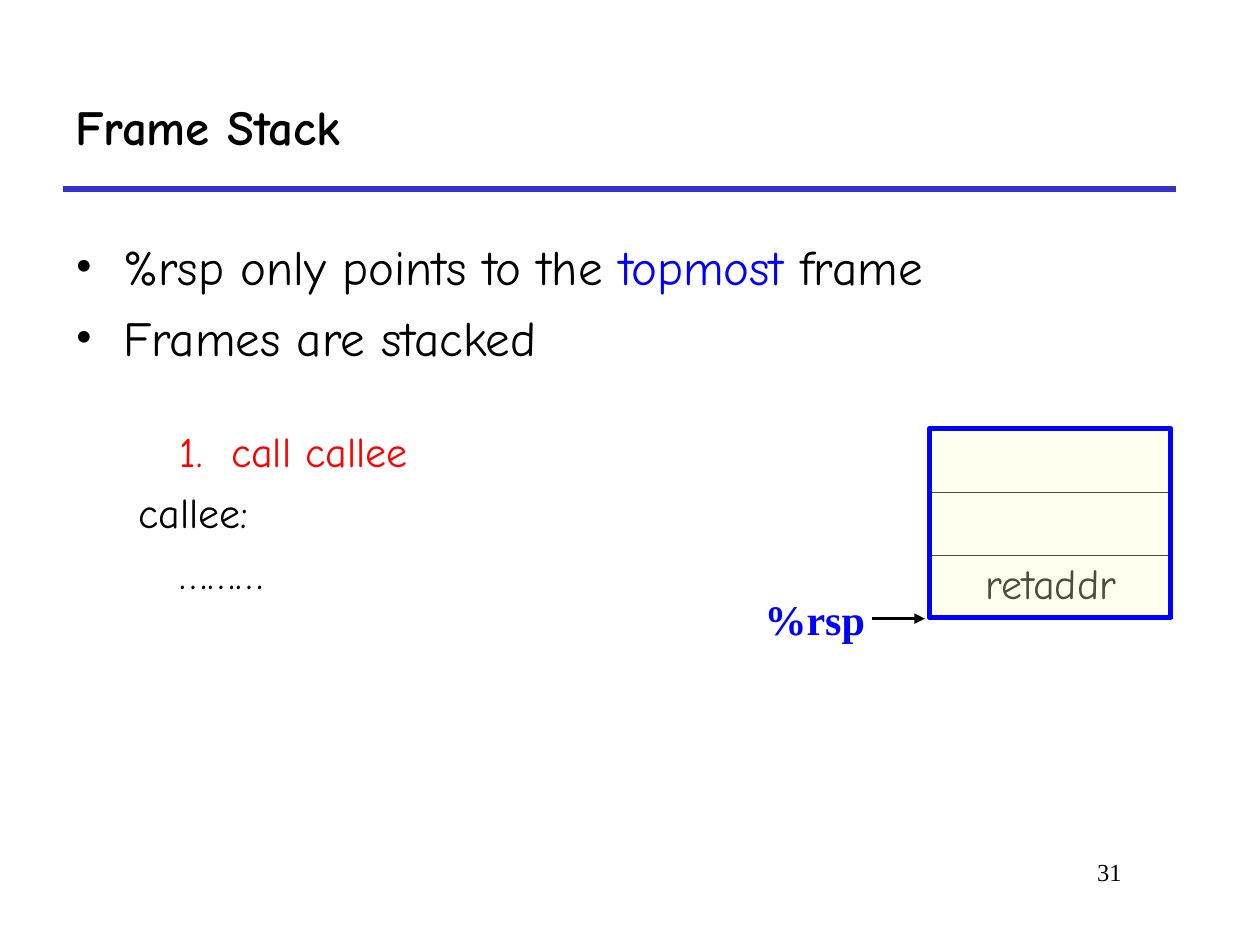
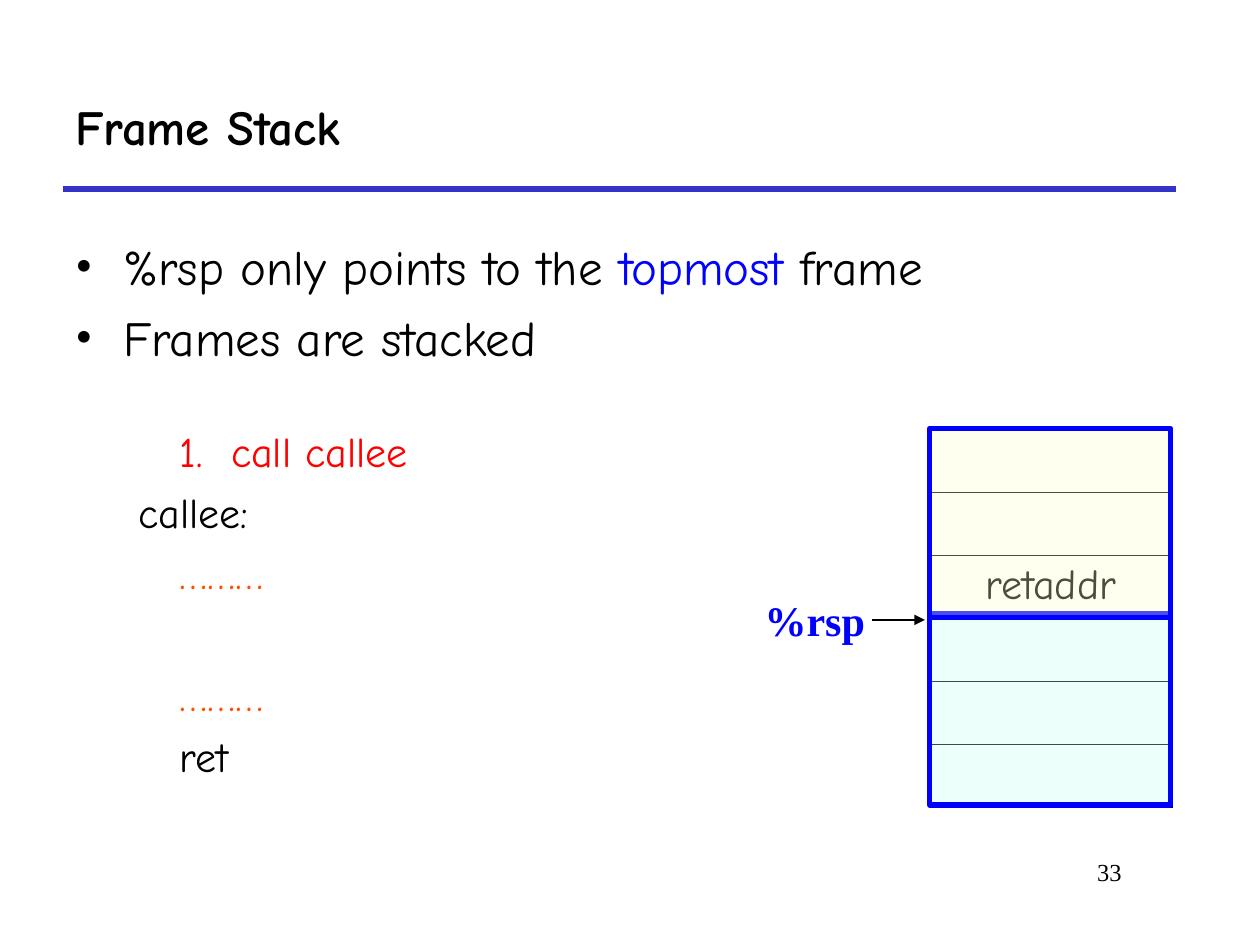
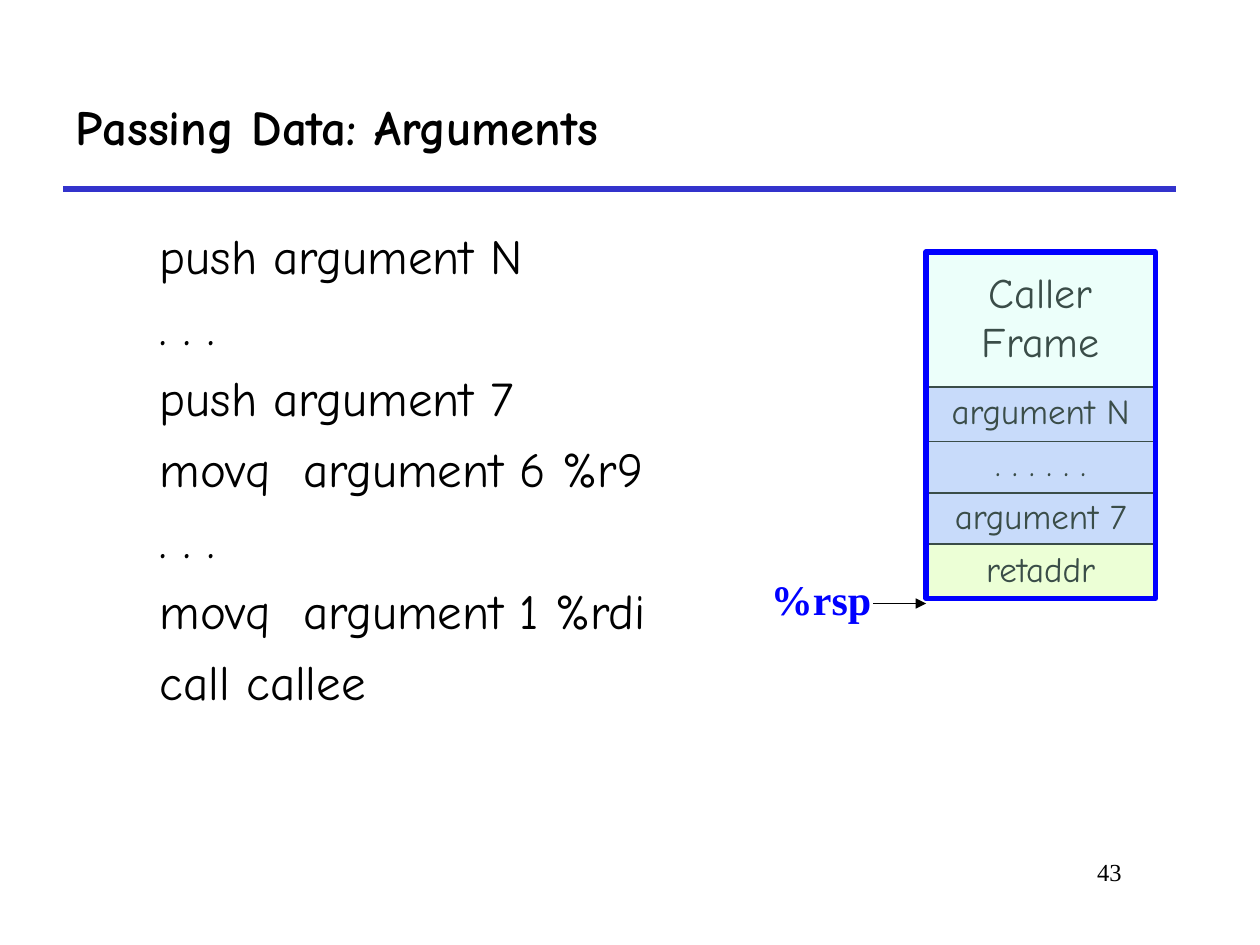
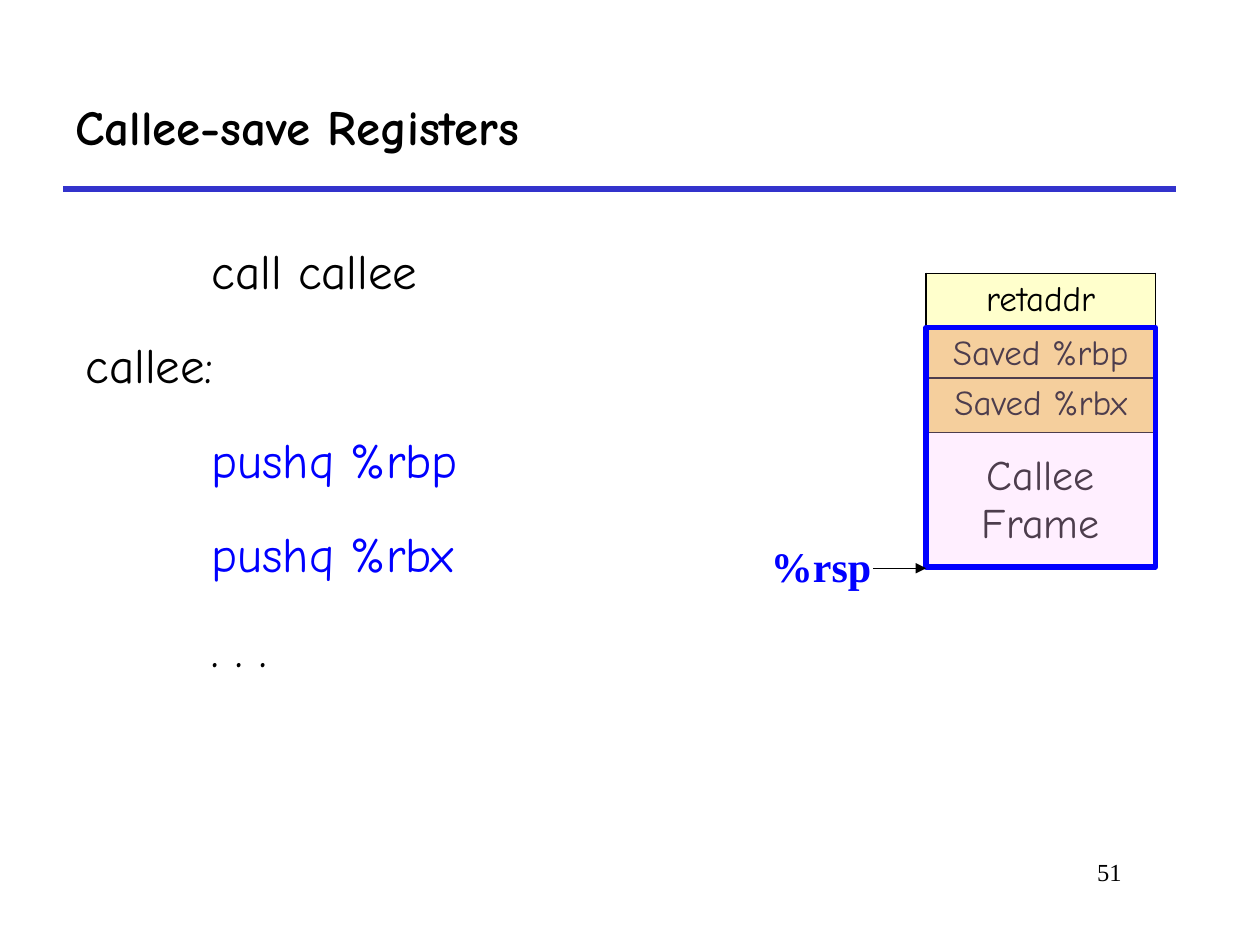
"""Build four lecture slides on stack frames, arguments and saved registers."""
from lxml import etree
from pptx import Presentation
from pptx import util as u
from pptx.dml.color import RGBColor
from pptx.enum import shapes, text
from pptx.oxml import ns

BLACK = RGBColor(0x00, 0x00, 0x00)
WHITE = RGBColor(0xFF, 0xFF, 0xFF)
BLUE = RGBColor(0x00, 0x00, 0xFF)
RED = RGBColor(0xFF, 0x00, 0x00)
ORANGE = RGBColor(0xFF, 0x50, 0x00)
RULE = RGBColor(0x33, 0x33, 0xCC)
YELLOW = RGBColor(0xFF, 0xFF, 0xCC)
AQUA = RGBColor(0xC2, 0xFF, 0xF0)
LILAC = RGBColor(0xCC, 0xCC, 0xFF)
GOLD = RGBColor(0xF2, 0xD1, 0x74)
PINK = RGBColor(0xFF, 0xCC, 0xFF)

BODY_FONT = "Comic Neue"
LABEL_FONT = "Times New Roman"
STACK_LEFT, STACK_TOP, STACK_WIDTH, SLOT_HEIGHT = 7.38, 3.41, 1.92, 0.5
FRAME_LEFT, FRAME_WIDTH, ENTRY_HEIGHT = 7.35, 1.82, 0.43


def add_xml(parent, tag, **attributes):
    """Append a DrawingML element to a parent and return it."""
    return etree.SubElement(parent, ns.qn(tag), attributes)


def format_runs(paragraph, size, color=BLACK, font=BODY_FONT, bold=False):
    """Give every run of a paragraph the same character format."""
    for run in paragraph.runs:
        run.font.size = u.Pt(size)
        run.font.name = font
        run.font.bold = bold
        run.font.color.rgb = color


def add_text(parent, left, top, width, height, lines, size=28, color=BLACK,
             font=BODY_FONT, bold=False, align=text.PP_ALIGN.LEFT,
             anchor=text.MSO_ANCHOR.TOP, wrap=True, gap=7, spacing=None):
    """Add a text box; each line is (text, colour, left indent, space before)."""
    box = parent.shapes.add_textbox(u.Inches(left), u.Inches(top),
                                    u.Inches(width), u.Inches(height))
    frame = box.text_frame
    frame.word_wrap = wrap
    frame.vertical_anchor = anchor
    for index, line in enumerate(lines):
        words, line_color, indent, before = (line + (None,) * 3)[:4]
        paragraph = frame.paragraphs[0] if index == 0 else frame.add_paragraph()
        paragraph.text = words
        paragraph.alignment = align
        if indent:
            paragraph._p.get_or_add_pPr().set("marL", str(u.Inches(indent)))
        if index:
            paragraph.space_before = u.Pt(before or gap)
        if spacing:
            paragraph.line_spacing = spacing
        format_runs(paragraph, size, line_color or color, font, bold)
    return box


def add_line(parent, start, end, color, weight, arrow=False):
    """Add a straight line, with an arrowhead at its end if wanted."""
    line = parent.shapes.add_connector(shapes.MSO_CONNECTOR.STRAIGHT,
                                       *map(u.Inches, start + end))
    line.line.color.rgb = color
    line.line.width = u.Pt(weight)
    if arrow:
        add_xml(line.line._get_or_add_ln(), "a:tailEnd", type="triangle")
    add_xml(line._element.spPr, "a:effectLst")


def set_borders(cell, side_weight, row_weight):
    """Draw black borders on the four sides of a cell."""
    properties = cell._tc.get_or_add_tcPr()
    weights = (side_weight, side_weight, row_weight, row_weight)
    for position, (side, weight) in enumerate(zip("LRTB", weights)):
        border = etree.Element(ns.qn(f"a:ln{side}"), w=str(u.Pt(weight)))
        fill = add_xml(border, "a:solidFill")
        add_xml(fill, "a:srgbClr", val=str(BLACK))
        properties.insert(position, border)


def add_cells(slide, left, top, width, row_height, labels, fill=None, size=24,
              row_weight=1.08, margin_top=0.05):
    """Add a one-column table with a centred label in each row."""
    table = slide.shapes.add_table(
        len(labels), 1, u.Inches(left), u.Inches(top), u.Inches(width),
        u.Inches(row_height * len(labels))).table
    table.first_row = table.horz_banding = False
    for row, label in enumerate(labels):
        cell = table.cell(row, 0)
        if fill is None:
            cell.fill.background()
        else:
            cell.fill.solid()
            cell.fill.fore_color.rgb = fill
        cell.margin_top = u.Inches(margin_top)
        if label:
            paragraph = cell.text_frame.paragraphs[0]
            paragraph.text = label
            paragraph.alignment = text.PP_ALIGN.CENTER
            format_runs(paragraph, size)
        set_borders(cell, 1.08, row_weight)


def add_entry(slide, top, label, fill):
    """Add one stack entry beside or inside a frame."""
    add_cells(slide, FRAME_LEFT, top, FRAME_WIDTH, ENTRY_HEIGHT, [label], fill, 20)


def add_highlight(slide, left, top, width, height, color):
    """Cover part of the stack with a translucent blue-edged rectangle."""
    shape = slide.shapes.add_shape(
        shapes.MSO_SHAPE.RECTANGLE, u.Inches(left), u.Inches(top),
        u.Inches(width), u.Inches(height))
    shape.shadow.inherit = False
    shape.fill.solid()
    shape.fill.fore_color.rgb = color
    add_xml(shape.fill._xPr.find(".//" + ns.qn("a:srgbClr")), "a:alpha", val="30000")
    shape.line.color.rgb = BLUE
    shape.line.width = u.Pt(3)


def add_frame(slide, top, height, label, label_margin):
    """Add the unfilled cell that holds the name of a frame."""
    add_cells(slide, FRAME_LEFT, top, FRAME_WIDTH, height, [label],
              margin_top=label_margin)


def add_pointer(slide, left, top, arrow_left, arrow_top, weight):
    """Add the %rsp label and its arrow as one group."""
    group = slide.shapes.add_group_shape()
    label = add_text(group, left, top, 1.05, 0.5, [("%rsp",)], 24, BLUE,
                     LABEL_FONT, True, wrap=False)
    label.text_frame.auto_size = text.MSO_AUTO_SIZE.SHAPE_TO_FIT_TEXT
    add_line(group, (arrow_left, arrow_top), (arrow_left + 0.42, arrow_top),
             BLACK, weight, arrow=True)


def add_slide(presentation, title, number):
    """Add a slide with the shared title, rule and page number."""
    slide = presentation.slides.add_slide(presentation.slide_layouts[6])
    add_line(slide, (0.5, 1.5), (9.33, 1.5), RULE, 3)
    add_text(slide, 0.5, 0.5, 8.83, 1, [(title,)], bold=True,
             anchor=text.MSO_ANCHOR.MIDDLE)
    add_text(slide, 7.58, 6.75, 1.42, 0.5, [(str(number),)], 14,
             font=LABEL_FONT, align=text.PP_ALIGN.RIGHT)
    return slide


def add_bullets(slide):
    """Add the two bulleted statements about the frame stack."""
    box = add_text(slide, 0.5, 1.83, 8.33, 1.17,
                   [("%rsp only points to the ",), ("Frames are stacked",)])
    first = box.text_frame.paragraphs[0]
    for words in ("topmost ", "frame"):
        first.add_run().text = words
    format_runs(first, 28)
    first.runs[1].font.color.rgb = BLUE
    for paragraph in box.text_frame.paragraphs:
        properties = paragraph._p.get_or_add_pPr()
        properties.set("marL", str(u.Inches(0.38)))
        properties.set("indent", str(u.Inches(-0.38)))
        add_xml(properties, "a:buFont", typeface=LABEL_FONT)
        add_xml(properties, "a:buChar", char="•")


def add_stack_slide(presentation, number, slots, callee_lines, pointer_top):
    """Add a frame stack slide with its code, stack slots and pointer."""
    slide = add_slide(presentation, "Frame Stack", number)
    add_bullets(slide)
    labels = ["", "", "retaddr"] + [""] * (slots - 3)
    add_cells(slide, STACK_LEFT, STACK_TOP, STACK_WIDTH, SLOT_HEIGHT, labels,
              WHITE, row_weight=0.45)
    if slots > 3:
        add_highlight(slide, STACK_LEFT, 4.87, 1.91, 1.52, AQUA)
    add_highlight(slide, STACK_LEFT, 3.4, 1.91, 1.5, YELLOW)
    add_pointer(slide, 5.97, pointer_top, 6.92, pointer_top + 0.25, 1.5)
    lines = [("1.  call callee", RED, 0.83), ("callee:", BLACK, 0.5)] + callee_lines
    add_text(slide, 0.5, 3.33, 5, 0.48 * len(lines) + 0.5, lines, 24, gap=6)


def add_arguments_slide(presentation):
    """Add the slide on passing arguments through the stack."""
    slide = add_slide(presentation, "Passing Data: Arguments", 43)
    code = ["push argument N", ". . .", "push argument 7", "movq  argument 6 %r9",
            ". . .", "movq  argument 1 %rdi", "call callee"]
    add_text(slide, 1.17, 1.74, 8.5, 4.83, [(line,) for line in code])
    for top, label in ((3.9, "argument 7"), (3.48, ". . . . . ."),
                       (3.07, "argument N")):
        add_entry(slide, top, label, LILAC)
    add_entry(slide, 4.32, "retaddr", YELLOW)
    add_frame(slide, 2, 2.75, "Caller\vFrame", 0.15)
    add_highlight(slide, FRAME_LEFT, 2, FRAME_WIDTH, 2.75, AQUA)
    add_pointer(slide, 6.02, 4.5, 6.93, 4.79, 0.75)


def add_registers_slide(presentation):
    """Add the slide on registers saved by the callee."""
    slide = add_slide(presentation, "Callee-save Registers", 51)
    code = [("call callee", BLACK, 1), ("callee:",), ("pushq %rbp", BLUE, 1),
            ("pushq %rbx", BLUE, 1), (". . .", BLACK, 1)]
    add_text(slide, 0.58, 1.67, 8.75, 5, code, spacing=1.4)
    add_frame(slide, 2.6, 1.9, "Callee\vFrame", 0.99)
    add_entry(slide, 2.17, "retaddr", YELLOW)
    add_entry(slide, 2.6, "Saved %rbp", GOLD)
    add_entry(slide, 3, "Saved %rbx", GOLD)
    add_highlight(slide, FRAME_LEFT, 2.6, FRAME_WIDTH, 1.9, PINK)
    add_pointer(slide, 6.02, 4.24, 6.93, 4.51, 0.75)


def main():
    """Build and save the presentation."""
    presentation = Presentation()
    presentation.slide_width = u.Inches(10)
    presentation.slide_height = u.Inches(7.5)
    add_stack_slide(presentation, 31, 3, [("………", BLACK, 0.83)], 4.66)
    add_stack_slide(presentation, 33, 6,
                    [("………", ORANGE, 0.83), ("………", ORANGE, 0.83, 40.8),
                     ("ret", BLACK, 0.83)], 4.67)
    add_arguments_slide(presentation)
    add_registers_slide(presentation)
    presentation.save("out.pptx")


if __name__ == "__main__":
    main()
